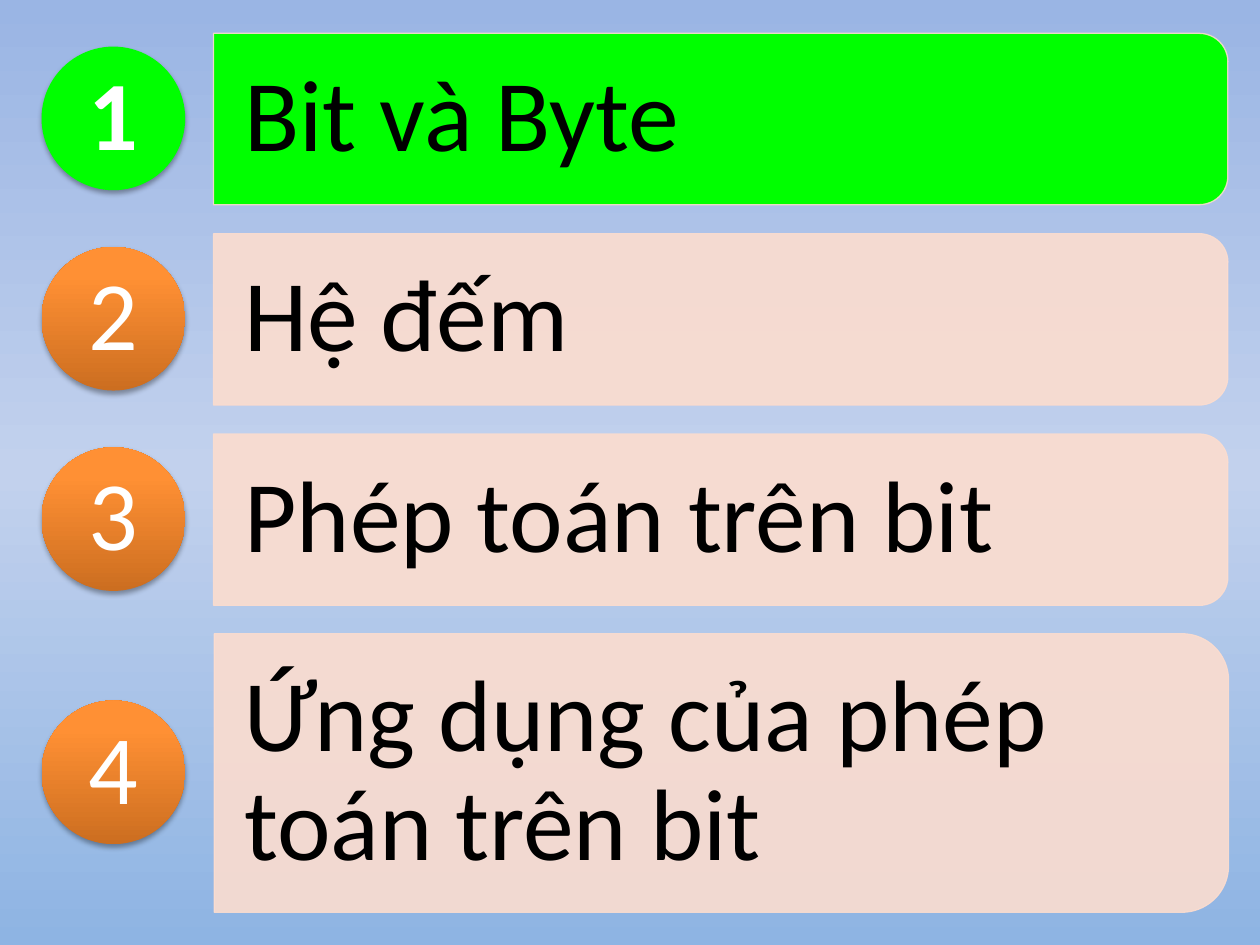
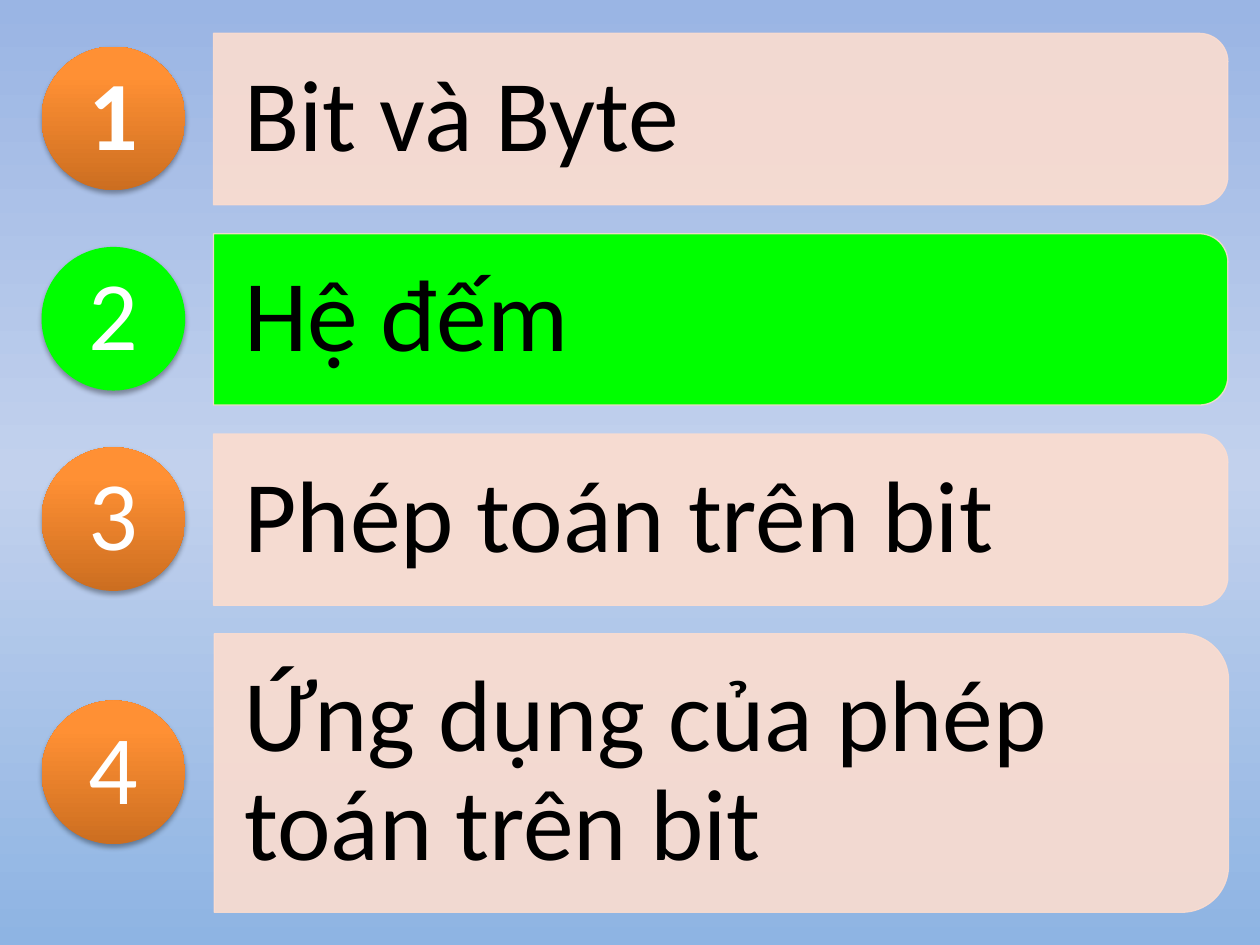
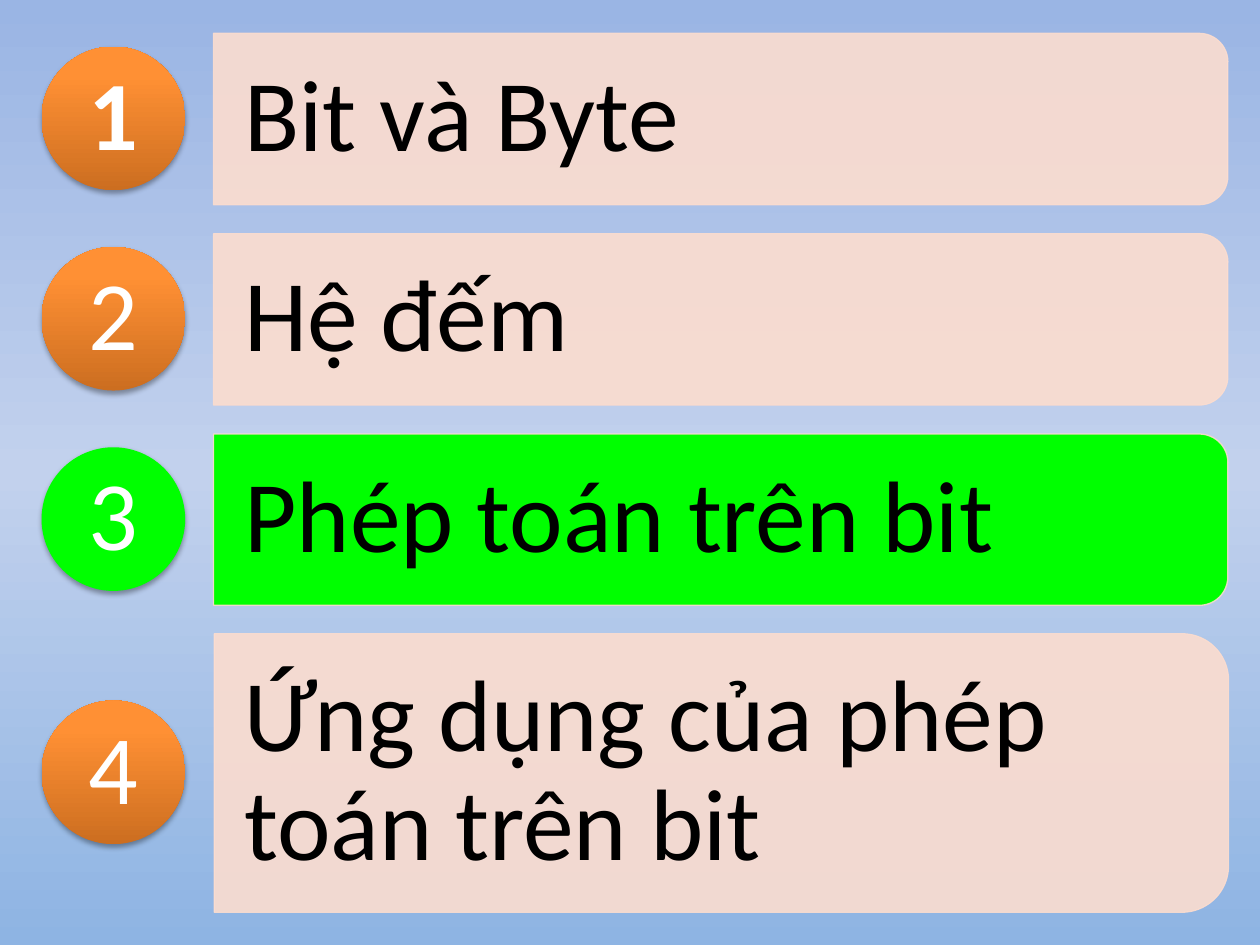
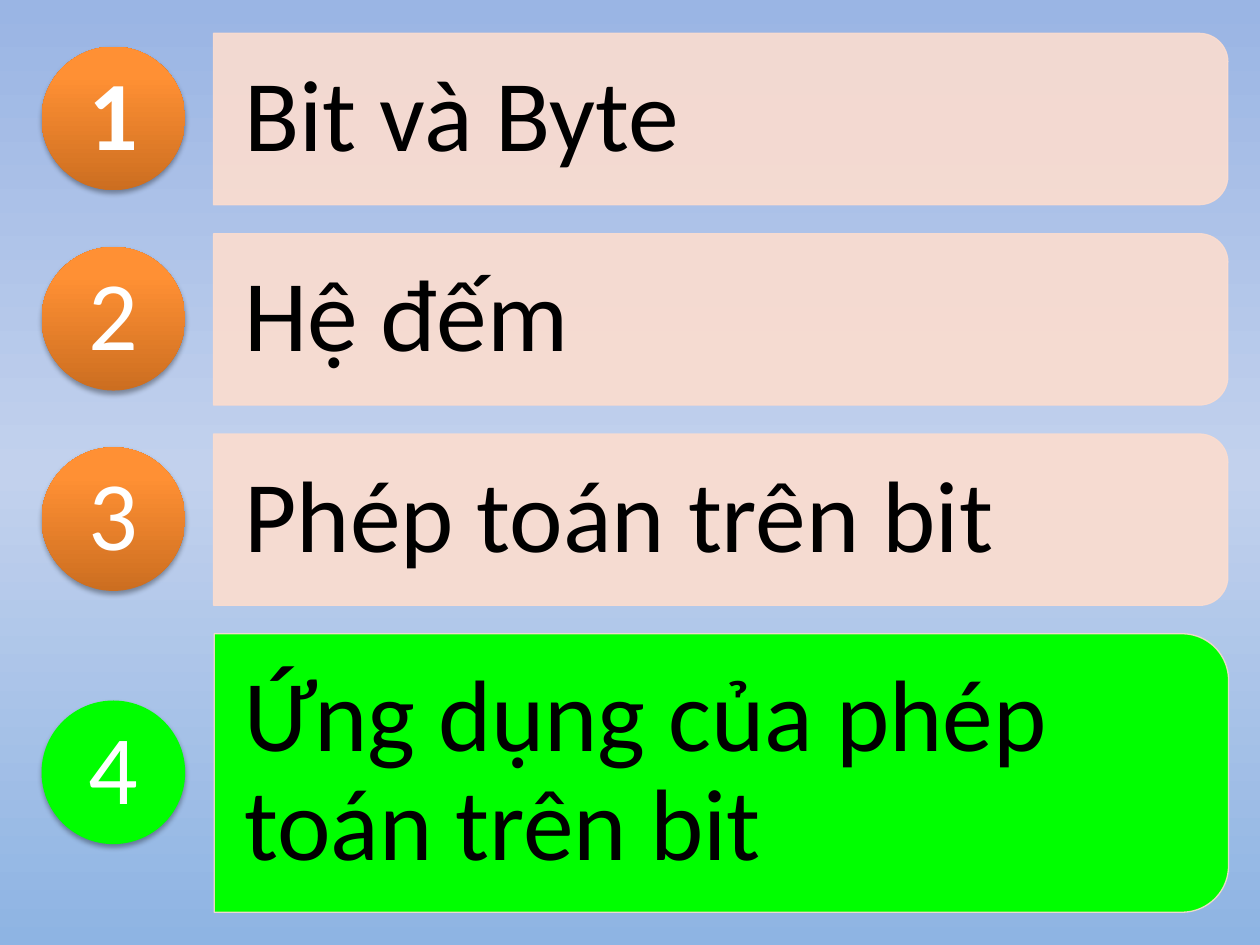
import dataclasses
import typing

import lxml.etree
import pptx
import pptx.dml.color
import pptx.enum.shapes
import pptx.enum.text
import pptx.oxml.ns
import pptx.util

EMU_PER_PX = 9144
PAGE_WIDTH, PAGE_HEIGHT = 1000, 750
BLANK_LAYOUT = 6

Stops = tuple[tuple[int, str], ...]


@dataclasses.dataclass(frozen=True)
class Theme:
    font: str = "Calibri"
    topic_size: int = 58
    number_size: int = 56
    topic_color: str = "000000"
    number_color: str = "FFFFFF"
    active: str = "00FF00"
    bar: str = "FCDDCF"
    bar_opacity: int = 90
    shadow: str = "000000"
    shadow_opacity: int = 35
    sky: Stops = ((0, "9AB5E4"), (50, "C2D1ED"), (100, "8EB4E3"))
    orange: Stops = ((0, "CC6E20"), (80, "FF9034"), (100, "FF9136"))


class Box(typing.NamedTuple):
    left: int
    top: int
    width: int
    height: int

    def emu(self) -> list[int]:
        return [px(length) for length in self]

    def shrink(self, margin: int) -> "Box":
        return Box(self.left + margin, self.top + margin,
                   self.width - 2 * margin, self.height - 2 * margin)


class Topic(typing.NamedTuple):
    text: str
    height: int = 136
    bold_number: bool = False


class Label(typing.NamedTuple):
    size: int
    color: str
    align: pptx.enum.text.PP_ALIGN
    side_inset: int = 0
    end_inset: int = 0
    bold: bool = False


THEME = Theme()
TOPICS = (
    Topic("Bit và Byte", bold_number=True),
    Topic("Hệ đếm"),
    Topic("Phép toán trên bit"),
    Topic("Ứng dụng của phép toán trên bit", height=221),
)
FIRST_TOP, ROW_GAP = 26, 23
BAR_LEFT, BAR_WIDTH = 170, 805
CIRCLE_LEFT, CIRCLE_SIZE, NUMBER_MARGIN = 33, 114, 17
CORNER_TRIM = 0.29 / 6


def px(length: int) -> int:
    return length * EMU_PER_PX


def rgb(color: str) -> pptx.dml.color.RGBColor:
    return pptx.dml.color.RGBColor.from_string(color)


def assign(target: typing.Any, values: dict[str, typing.Any]) -> None:
    for name, value in values.items():
        setattr(target, name, value)


def add_xml(parent: typing.Any, tag: str, **attributes: typing.Any) -> typing.Any:
    texts = {name: str(value) for name, value in attributes.items()}
    return lxml.etree.SubElement(parent, pptx.oxml.ns.qn(tag), texts)


def paint_solid(fill: typing.Any, color: str) -> None:
    fill.solid()
    fill.fore_color.rgb = rgb(color)


def paint_gradient(fill: typing.Any, owner: typing.Any, stops: Stops, angle: int) -> None:
    fill.gradient()
    fill.gradient_angle = angle
    stop_list = next(owner.iter(pptx.oxml.ns.qn("a:gsLst")))
    for stop in list(stop_list):
        stop_list.remove(stop)
    for percent, color in stops:
        add_xml(add_xml(stop_list, "a:gs", pos=percent * 1000), "a:srgbClr", val=color)


def fade(owner: typing.Any, color: str, opacity: int) -> None:
    for tint in owner.iter(pptx.oxml.ns.qn("a:srgbClr")):
        if tint.get("val") == color:
            add_xml(tint, "a:alpha", val=opacity * 1000)


def draw_text(page: typing.Any, box: Box, text: str, label: Label) -> None:
    frame = page.shapes.add_textbox(*box.emu()).text_frame
    assign(frame, {
        "word_wrap": True,
        "vertical_anchor": pptx.enum.text.MSO_ANCHOR.MIDDLE,
        "margin_left": px(label.side_inset),
        "margin_right": px(label.side_inset),
        "margin_top": px(label.end_inset),
        "margin_bottom": px(label.end_inset),
    })
    para = frame.paragraphs[0]
    assign(para, {"alignment": label.align, "line_spacing": 0.9})
    add_xml(add_xml(para._p.get_or_add_pPr(), "a:spcAft"), "a:spcPct", val=35000)
    span = para.add_run()
    span.text = text
    assign(span.font, {"name": THEME.font, "size": pptx.util.Pt(label.size), "bold": label.bold})
    span.font.color.rgb = rgb(label.color)


def draw_bar(page: typing.Any, box: Box, active: bool) -> None:
    shift = (box.width - box.height) // 2
    upright = Box(box.left + shift, box.top - shift, box.height, box.width)
    bar = page.shapes.add_shape(
        pptx.enum.shapes.MSO_SHAPE.ROUND_2_SAME_RECTANGLE, *upright.emu())
    bar.rotation = 90
    bar.shadow.inherit = False
    paint_solid(bar.fill, THEME.active if active else THEME.bar)
    paint_solid(bar.line.fill, THEME.bar)
    bar.line.width = pptx.util.Pt(0.75)
    fade(bar._element.spPr, THEME.bar, THEME.bar_opacity)


def draw_circle(page: typing.Any, box: Box, active: bool) -> None:
    circle = page.shapes.add_shape(pptx.enum.shapes.MSO_SHAPE.OVAL, *box.emu())
    properties = circle._element.spPr
    if active:
        paint_solid(circle.fill, THEME.active)
    else:
        paint_gradient(circle.fill, properties, THEME.orange, 90)
    circle.line.fill.background()
    circle.shadow.inherit = False
    effects = properties.find(pptx.oxml.ns.qn("a:effectLst"))
    shadow = add_xml(effects, "a:outerShdw", blurRad=pptx.util.Pt(3.1),
                     dist=pptx.util.Pt(1.8), dir=5400000, rotWithShape=0)
    add_xml(shadow, "a:srgbClr", val=THEME.shadow)
    fade(effects, THEME.shadow, THEME.shadow_opacity)


def draw_row(page: typing.Any, number: int, topic: Topic, top: int, active: bool) -> None:
    bar = Box(BAR_LEFT, top, BAR_WIDTH, topic.height)
    trim = round(topic.height * CORNER_TRIM)
    caption = Box(bar.left, top + trim, bar.width - trim, bar.height - 2 * trim)
    circle = Box(CIRCLE_LEFT, top + (topic.height - CIRCLE_SIZE) // 2, CIRCLE_SIZE, CIRCLE_SIZE)
    draw_bar(page, bar, active)
    draw_text(page, caption, topic.text, Label(
        THEME.topic_size, THEME.topic_color, pptx.enum.text.PP_ALIGN.LEFT, 24, 16))
    draw_circle(page, circle, active)
    draw_text(page, circle.shrink(NUMBER_MARGIN), str(number), Label(
        THEME.number_size, THEME.number_color, pptx.enum.text.PP_ALIGN.CENTER,
        bold=topic.bold_number))


def draw_agenda(page: typing.Any, current: int) -> None:
    top = FIRST_TOP
    for number, topic in enumerate(TOPICS, start=1):
        draw_row(page, number, topic, top, number == current)
        top += topic.height + ROW_GAP


def main() -> None:
    deck = pptx.Presentation()
    assign(deck, {"slide_width": px(PAGE_WIDTH), "slide_height": px(PAGE_HEIGHT)})
    master = deck.slide_master
    paint_gradient(master.background.fill, master._element, THEME.sky, 270)
    for current in range(1, len(TOPICS) + 1):
        page = deck.slides.add_slide(deck.slide_layouts[BLANK_LAYOUT])
        draw_agenda(page, current)
    deck.save("out.pptx")


if __name__ == "__main__":
    main()
